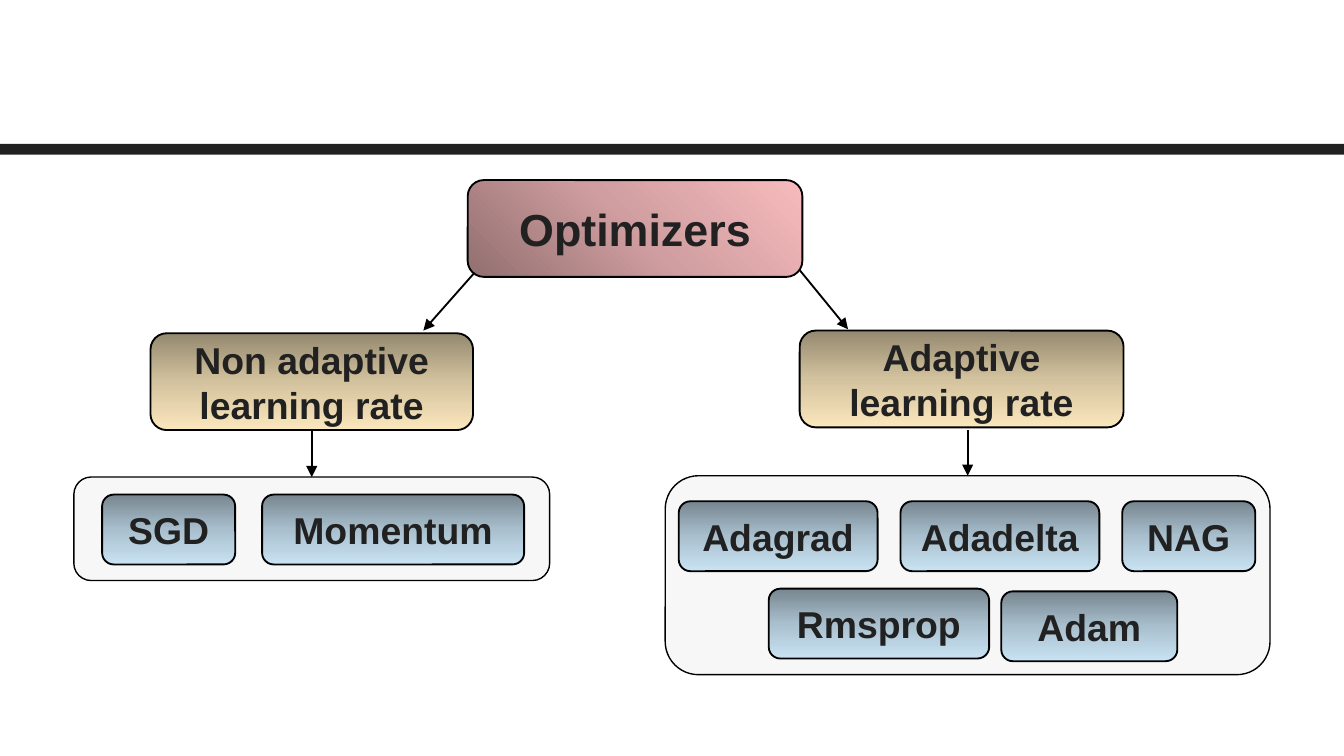
from lxml import etree
from pptx import Presentation
from pptx.dml.color import RGBColor
from pptx.enum.shapes import MSO_CONNECTOR, MSO_SHAPE
from pptx.enum.text import MSO_ANCHOR, PP_ALIGN
from pptx.oxml.ns import qn
from pptx.util import Inches, Pt

RECT = MSO_SHAPE.RECTANGLE
ROUNDED = MSO_SHAPE.ROUNDED_RECTANGLE
PROCESS = MSO_SHAPE.FLOWCHART_ALTERNATE_PROCESS
STRAIGHT = MSO_CONNECTOR.STRAIGHT
MIDDLE = MSO_ANCHOR.MIDDLE
CENTER = PP_ALIGN.CENTER
TOP, BOTTOM = 0, 2

COLORS = {"ink": "212121", "line": "000000", "panel": "F7F7F7"}
GRADIENTS = {
    "root": (("926F70", "D09EA0", "F7BBBD"), 315),
    "branch": (("94896F", "D3C29E", "FAE7BC"), 90),
    "leaf": (("778690", "A9BFCD", "C8E3F3"), 90),
}
FONT = "Arial"
PAGE_WIDTH = 10
PAGE_HEIGHT = PAGE_WIDTH * 9 / 16
LEAF_HEIGHT = 0.52


def rgb(name):
    return RGBColor.from_string(COLORS[name])


def add_outlined(page, kind, box, width):
    shape = page.shapes.add_shape(kind, *(Inches(v) for v in box))
    shape.shadow.inherit = False
    shape.line.color.rgb = rgb("line")
    shape.line.width = Pt(width)
    return shape


def fill_gradient(shape, name):
    colors, angle = GRADIENTS[name]
    shape.fill.gradient()
    shape.fill.gradient_angle = (360 - angle) % 360
    stops = shape.element.spPr.find(qn("a:gradFill")).find(qn("a:gsLst"))
    for stop in list(stops):
        stops.remove(stop)
    for index, color in enumerate(colors):
        stop = etree.SubElement(stops, qn("a:gs"), pos=str(index * 50000))
        etree.SubElement(stop, qn("a:srgbClr"), val=color)


def add_node(page, box, text, gradient, size=20):
    node = add_outlined(page, PROCESS, box, 1)
    fill_gradient(node, gradient)
    frame = node.text_frame
    frame.word_wrap = True
    frame.vertical_anchor = MIDDLE
    frame.margin_left = frame.margin_right = Inches(0.1)
    frame.margin_top = frame.margin_bottom = Inches(0.1)
    para = frame.paragraphs[0]
    para.alignment = CENTER
    span = para.add_run()
    span.text = text
    span.font.name = FONT
    span.font.size = Pt(size)
    span.font.bold = True
    span.font.color.rgb = rgb("ink")
    return node


def add_panel(page, box, leaves):
    left, top = box[:2]
    panel = add_outlined(page, ROUNDED, box, 0.75)
    panel.adjustments[0] = 0.167
    panel.fill.solid()
    panel.fill.fore_color.rgb = rgb("panel")
    for text, x, y, width in leaves:
        add_node(page, (left + x, top + y, width, LEAF_HEIGHT), text, "leaf")
    return panel


def add_arrow(page, start, end):
    arrow = page.shapes.add_connector(
        STRAIGHT, *(Inches(v) for v in (*start, *end)))
    arrow.line.color.rgb = rgb("line")
    arrow.line.width = Pt(1)
    properties = arrow.element.spPr
    etree.SubElement(properties.find(qn("a:ln")), qn("a:tailEnd"), type="triangle")
    etree.SubElement(properties, qn("a:effectLst"))
    return arrow


def add_divider(page, box):
    divider = page.shapes.add_shape(RECT, *(Inches(v) for v in box))
    divider.shadow.inherit = False
    divider.fill.solid()
    divider.fill.fore_color.rgb = rgb("ink")
    divider.line.fill.background()


def main():
    deck = Presentation()
    deck.slide_width, deck.slide_height = Inches(PAGE_WIDTH), Inches(PAGE_HEIGHT)
    page = deck.slides.add_slide(deck.slide_layouts[6])

    add_divider(page, (0, 1.07, PAGE_WIDTH, 0.08))
    add_node(page, (3.48, 1.34, 2.49, 0.72), "Optimizers", "root", 24)
    fixed = add_node(page, (1.12, 2.48, 2.4, 0.72),
                     "Non adaptive learning rate", "branch")
    add_node(page, (5.95, 2.46, 2.41, 0.72), "Adaptive learning rate", "branch")

    fixed_panel = add_panel(page, (0.55, 3.55, 3.54, 0.77), [
        ("SGD", 0.21, 0.13, 0.99),
        ("Momentum", 1.4, 0.13, 1.95),
    ])
    adaptive_panel = add_panel(page, (4.95, 3.54, 4.5, 1.48), [
        ("Adagrad", 0.1, 0.19, 1.48),
        ("Adadelta", 1.75, 0.19, 1.48),
        ("NAG", 3.4, 0.19, 0.99),
        ("Rmsprop", 0.77, 0.84, 1.64),
        ("Adam", 2.5, 0.86, 1.31),
    ])

    add_arrow(page, (3.53, 2.03), (3.15, 2.46))
    add_arrow(page, (5.95, 2.01), (6.31, 2.45))
    fixed_arrow = add_arrow(page, (2.32, 3.2), (2.32, 3.55))
    fixed_arrow.begin_connect(fixed, BOTTOM)
    fixed_arrow.end_connect(fixed_panel, TOP)
    adaptive_arrow = add_arrow(page, (7.2, 3.2), (7.2, 3.54))
    adaptive_arrow.end_connect(adaptive_panel, TOP)

    deck.save("out.pptx")


if __name__ == "__main__":
    main()
